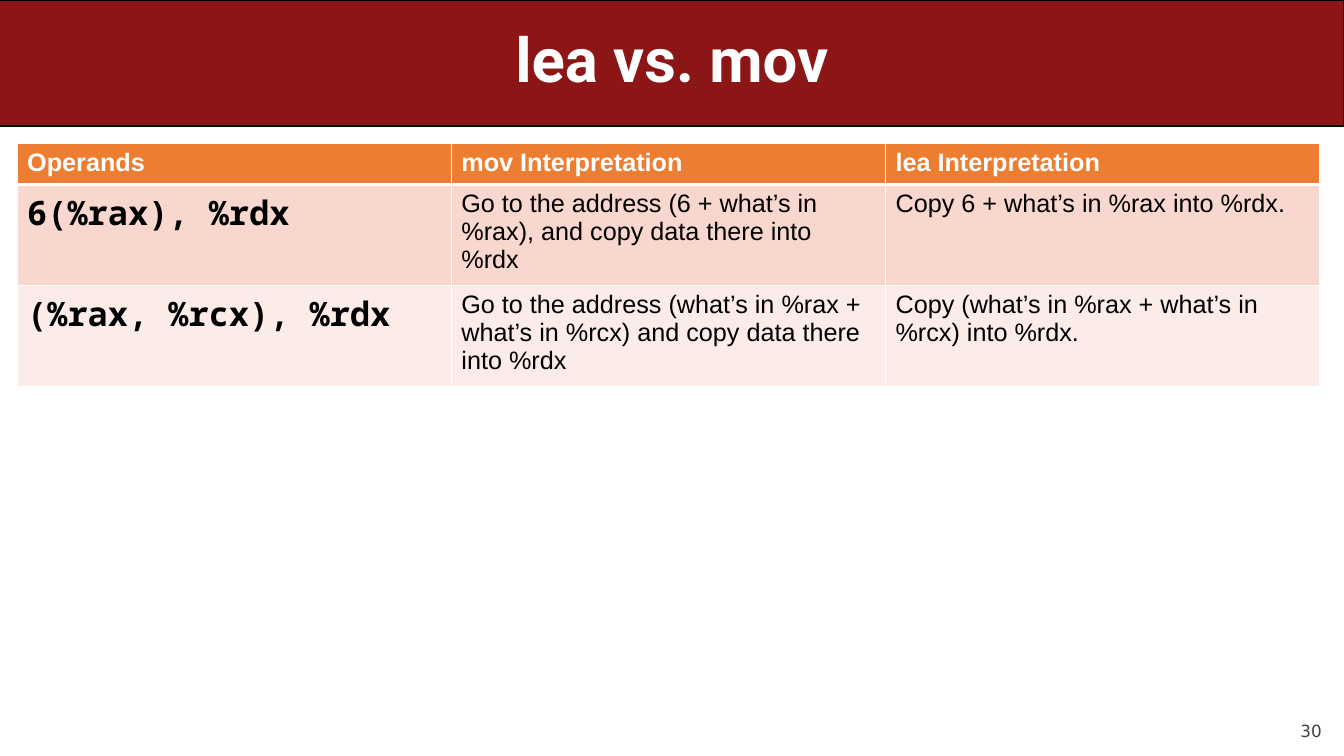
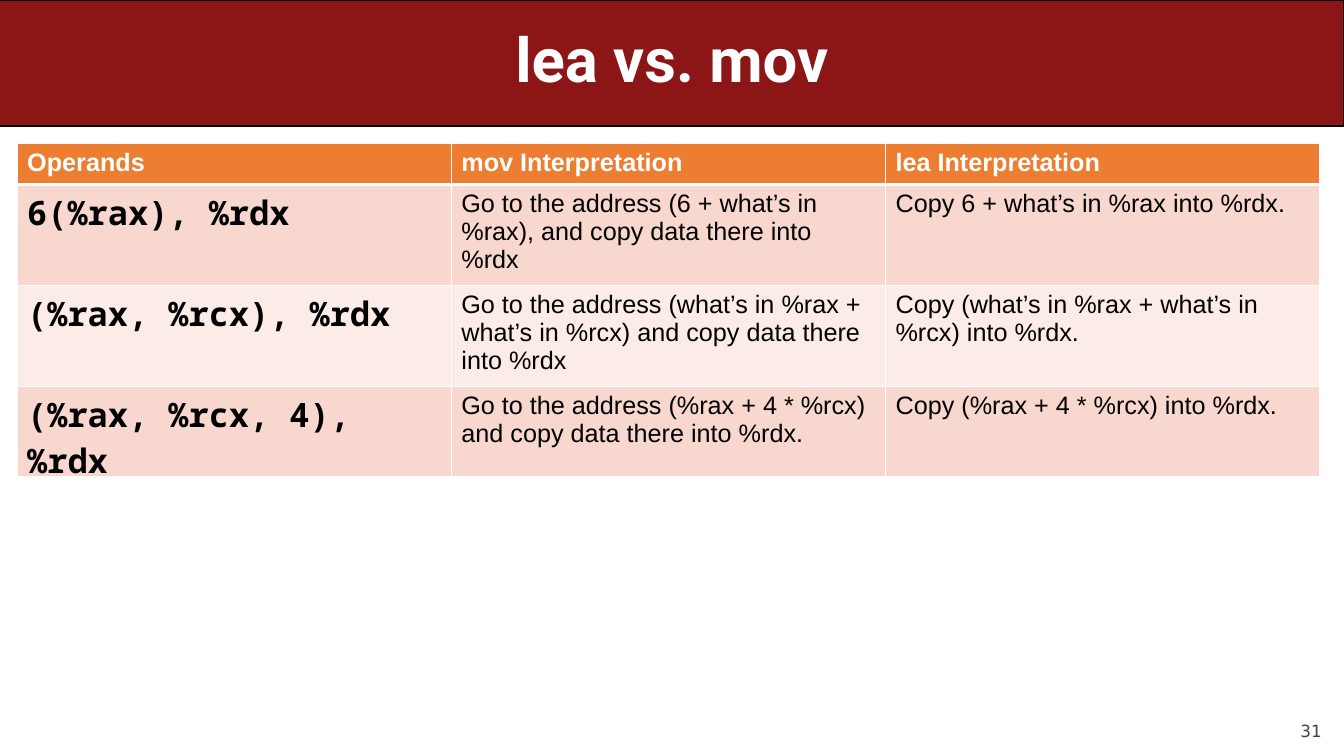
import pptx
import pptx.dml.color
import pptx.enum.shapes
import pptx.enum.text
import pptx.oxml.ns
import pptx.util
from lxml import etree

Inches = pptx.util.Inches
Pt = pptx.util.Pt
Align = pptx.enum.text.PP_ALIGN
Anchor = pptx.enum.text.MSO_ANCHOR

# Content
TITLE = "lea vs. mov"
HEADER = ("Operands", "mov Interpretation", "lea Interpretation")
EXAMPLES = [
    ("6(%rax), %rdx",
     "Go to the address (6 + what’s in %rax), and copy data there into %rdx",
     "Copy 6 + what’s in %rax into %rdx."),
    ("(%rax, %rcx), %rdx",
     "Go to the address (what’s in %rax + what’s in %rcx) and copy data there into %rdx",
     "Copy (what’s in %rax + what’s in %rcx) into %rdx."),
    ("(%rax, %rcx, 4), %rdx",
     "Go to the address (%rax + 4 * %rcx) and copy data there into %rdx.",
     "Copy (%rax + 4 * %rcx) into %rdx."),
]
# Page number and how many examples are revealed
SLIDES = [(30, 2), (31, 3)]


# Theme: text styles are (font, size, colour, bold)
class Theme:
    band = "8C1515"
    band_line = "000000"
    header_fill = "ED7D31"
    row_fills = ("F8D7CE", "FCECE8")
    border = "FFFFFF"
    border_width = 1
    header_rule_width = 3
    title = ("Roboto", 44, "FFFFFF", True)
    header = ("Arial", 18, "FFFFFF", True)
    body = ("Arial", 18, "000000", False)
    code = ("Noto Sans Mono", 24, "000000", True)
    page_number = ("DejaVu Sans", 12, "424242", False)


# Layout, in inches
SLIDE_WIDTH, SLIDE_HEIGHT = 13.33, 7.5
BAND_HEIGHT = 1.25
TABLE_LEFT, TABLE_TOP, TABLE_WIDTH = 0.17, 1.42, 12.92
HEADER_HEIGHT = 0.41
EXAMPLE_HEIGHTS = (0.85, 0.85, 0.7)


def rgb(color):
    return pptx.dml.color.RGBColor.from_string(color)


def write(text_frame, text, style, alignment=Align.LEFT):
    text_frame.text = text
    paragraph = text_frame.paragraphs[0]
    paragraph.alignment = alignment
    font = paragraph.runs[0].font
    font.name, size, color, font.bold = style
    font.size = Pt(size)
    font.color.rgb = rgb(color)
    return paragraph


def add_text(slide, box, text, style, alignment, anchor):
    text_frame = slide.shapes.add_textbox(*map(Inches, box)).text_frame
    text_frame.word_wrap = True
    text_frame.vertical_anchor = anchor
    return text_frame, write(text_frame, text, style, alignment)


def set_borders(cell, top, bottom):
    properties = cell._tc.get_or_add_tcPr()
    widths = {"lnL": Theme.border_width, "lnR": Theme.border_width,
              "lnT": top, "lnB": bottom}
    for side, width in widths.items():
        line = etree.SubElement(properties, pptx.oxml.ns.qn("a:" + side), w=str(Pt(width)))
        fill = etree.SubElement(line, pptx.oxml.ns.qn("a:solidFill"))
        etree.SubElement(fill, pptx.oxml.ns.qn("a:srgbClr"), val=Theme.border)


def add_frame(slide, page):
    # Page number
    text_frame, paragraph = add_text(slide, (12, 6.95, 1.11, 0.4), str(page),
                                     Theme.page_number, Align.RIGHT, Anchor.BOTTOM)
    text_frame.margin_left = text_frame.margin_right = 0
    text_frame.margin_top = text_frame.margin_bottom = 0
    paragraph.space_before = Pt(5)

    # Title band
    band = slide.shapes.add_shape(pptx.enum.shapes.MSO_SHAPE.ROUNDED_RECTANGLE,
                                  0, 0, Inches(SLIDE_WIDTH), Inches(BAND_HEIGHT))
    band.adjustments[0] = 0
    band.shadow.inherit = False
    band.fill.solid()
    band.fill.fore_color.rgb = rgb(Theme.band)
    band.line.color.rgb = rgb(Theme.band_line)
    band.line.width = Pt(0.75)

    # Title
    paragraph = add_text(slide, (0.5, 0, 12.33, BAND_HEIGHT), TITLE,
                         Theme.title, Align.CENTER, Anchor.MIDDLE)[1]
    paragraph.line_spacing = 0.9


def add_comparison(slide, examples):
    rows = [HEADER, *examples]
    heights = (HEADER_HEIGHT, *EXAMPLE_HEIGHTS)[:len(rows)]
    table = slide.shapes.add_table(
        len(rows), len(HEADER), Inches(TABLE_LEFT), Inches(TABLE_TOP),
        Inches(TABLE_WIDTH), Inches(sum(heights))).table
    table.horz_banding = False
    for row_index, (values, height) in enumerate(zip(rows, heights)):
        table.rows[row_index].height = Inches(height)
        is_header = row_index == 0
        fill = Theme.header_fill if is_header else Theme.row_fills[(row_index - 1) % 2]
        top = Theme.header_rule_width if row_index == 1 else Theme.border_width
        bottom = Theme.header_rule_width if is_header else Theme.border_width
        for column_index, value in enumerate(values):
            cell = table.cell(row_index, column_index)
            set_borders(cell, top, bottom)
            cell.fill.solid()
            cell.fill.fore_color.rgb = rgb(fill)
            body_style = Theme.code if column_index == 0 else Theme.body
            write(cell.text_frame, value, Theme.header if is_header else body_style)


def main():
    presentation = pptx.Presentation()
    presentation.slide_width = Inches(SLIDE_WIDTH)
    presentation.slide_height = Inches(SLIDE_HEIGHT)
    for page, example_count in SLIDES:
        slide = presentation.slides.add_slide(presentation.slide_layouts[6])
        add_frame(slide, page)
        add_comparison(slide, EXAMPLES[:example_count])
    presentation.save("out.pptx")


if __name__ == "__main__":
    main()
